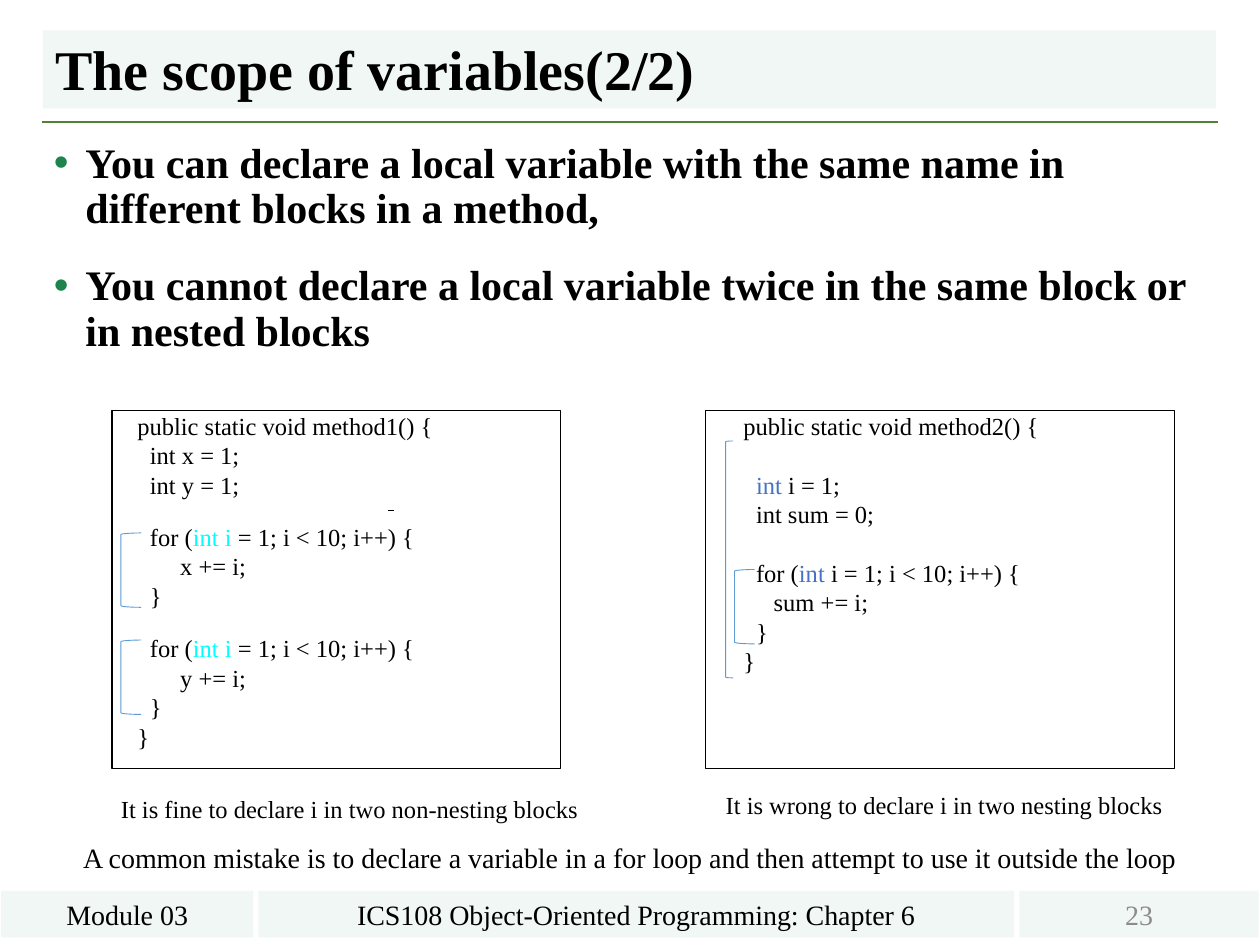
"""Build the slide on the scope of local variables."""
import pptx
import pptx.dml.color
import pptx.enum.shapes
import pptx.enum.text
import pptx.oxml.ns
import pptx.util
from lxml import etree

Inches, Pt = pptx.util.Inches, pptx.util.Pt
Rgb = pptx.dml.color.RGBColor.from_string
Kind = pptx.enum.shapes.MSO_SHAPE
Align = pptx.enum.text.PP_ALIGN
Anchor = pptx.enum.text.MSO_ANCHOR
qn = pptx.oxml.ns.qn

THEME = {
    "font": "Times New Roman",
    "ink": "000000", "paper": "FFFFFF", "band": "F1F7F4", "rule": "548235",
    "dot": "1A864B", "mute": "8C8C8C", "cyan": "00FFFF", "blue": "4472C4",
    "brace": "5B9BD5",
    "title": 32, "body": 24, "note": 16, "code": 14,
}

TITLE = "The scope of variables(2/2)"
POINTS = [
    "You can declare a local variable with the same name in different blocks in a method,",
    "You cannot declare a local variable twice in the same block or in nested blocks",
]
FOOT = [
    (0.01, 2, "Module 03", "ink"),
    (2.05, 6, "ICS108 Object-Oriented Programming: Chapter 6", "ink"),
    (8.09, 1.9, "23", "mute"),
]
NOTE = "A common mistake is to declare a variable in a for loop and then attempt to use it outside the loop"

# (indent, space before in points, runs)
CODE = [
    {"left": 0.89, "width": 3.56, "lines": [
        (0.2, 0, [("public static void method1() {", "ink")]),
        (0.3, 0, [("int x = 1;", "ink")]),
        (0.3, 0, [("int y = 1;", "ink")]),
        (0.3, 13.2, [("for (", "ink"), ("int i", "cyan"), (" = 1; i < 10; i++) {", "ink")]),
        (0.54, 0, [("x += i;", "ink")]),
        (0.3, 0, [("}", "ink")]),
        (0.3, 13.2, [("for (", "ink"), ("int i", "cyan"), (" = 1; i < 10; i++) {", "ink")]),
        (0.54, 0, [("y += i;", "ink")]),
        (0.3, 0, [("}", "ink")]),
        (0.2, 0, [("}", "ink")]),
    ]},
    {"left": 5.6, "width": 3.72, "lines": [
        (0.3, 0, [("public static void method2() {", "ink")]),
        (0.4, 16.8, [("int ", "blue"), ("i = 1;", "ink")]),
        (0.4, 0, [("int sum = 0;", "ink")]),
        (0.4, 16.8, [("for (", "ink"), ("int ", "blue"), ("i = 1; i < 10; i++) {", "ink")]),
        (0.54, 0, [("sum += i;", "ink")]),
        (0.4, 0, [("}", "ink")]),
        (0.3, 0, [("}", "ink")]),
    ]},
]
LABELS = [
    ((0.96, 6.3, 3.77, 0.26), "It is fine to declare i in two non-nesting blocks"),
    ((5.76, 6.27, 3.57, 0.29), "It is wrong to declare i in two nesting blocks"),
]
BRACES = [(5.76, 3.5, 0.06, 1.88), (5.83, 4.52, 0.16, 0.59),
          (0.96, 4.23, 0.16, 0.59), (0.96, 5.08, 0.16, 0.59)]
RULES = [(0.33, 9.67, 0.97, "rule", 1.5), (3.08, 3.13, 4.05, "ink", 0.75)]

deck = pptx.Presentation()
deck.slide_width, deck.slide_height = Inches(10), Inches(7.5)
slide = deck.slides.add_slide(deck.slide_layouts[6])


def apply(item, style):
    """Set each format value on the item."""
    for name, value in style.items():
        setattr(item, name, value)


def draw(box, fill=None, line=None, width=0.75, kind=Kind.RECTANGLE):
    """Add a flat shape with theme colours."""
    shape = slide.shapes.add_shape(kind, *map(Inches, box))
    shape.shadow.inherit = False
    if fill:
        shape.fill.solid()
        shape.fill.fore_color.rgb = Rgb(THEME[fill])
    else:
        shape.fill.background()
    if line:
        shape.line.color.rgb = Rgb(THEME[line])
        shape.line.width = Pt(width)
    else:
        shape.line.fill.background()
    return shape


def write(shape, rows, size, bold=False, inset=None, anchor=Anchor.TOP, **style):
    """Fill a shape with rows of (indent, space before, runs)."""
    frame = shape.text_frame
    apply(frame, {"word_wrap": True, "vertical_anchor": anchor})
    if inset is not None:
        apply(frame, {f"margin_{side}": Inches(inset)
                      for side in ("left", "top", "right", "bottom")})
    for pos, (indent, gap, runs) in enumerate(rows):
        para = frame.add_paragraph() if pos else frame.paragraphs[0]
        apply(para, {"alignment": Align.LEFT, "space_before": Pt(gap), **style})
        if indent:
            para._p.get_or_add_pPr().set("marL", str(Inches(indent)))
        for text, tint in runs:
            run = para.add_run()
            run.text = text
            apply(run.font, {"name": THEME["font"], "size": Pt(THEME[size]), "bold": bold})
            run.font.color.rgb = Rgb(THEME[tint])
    return frame


def plain(text, tint="ink"):
    """Give one unindented row."""
    return [(0, 0, [(text, tint)])]


def rule(start, end, top, tint, width):
    """Add a level line."""
    line = slide.shapes.add_connector(pptx.enum.shapes.MSO_CONNECTOR.STRAIGHT,
                                      *map(Inches, (start, top, end, top)))
    line.line.color.rgb = Rgb(THEME[tint])
    line.line.width = Pt(width)
    etree.SubElement(line._element.spPr, qn("a:effectLst"))


def bullet(para):
    """Hang a coloured dot before the paragraph."""
    props = para._p.get_or_add_pPr()
    props.set("indent", str(Inches(-0.25)))
    tint = etree.SubElement(props, qn("a:buClr"))
    etree.SubElement(tint, qn("a:srgbClr"), val=THEME["dot"])
    etree.SubElement(props, qn("a:buFont"), typeface="Arial")
    etree.SubElement(props, qn("a:buChar"), char="•")


for left, width, text, tint in FOOT:
    write(draw((left, 7.07, width, 0.37), "band"), plain(text, tint), "note",
          anchor=Anchor.MIDDLE, alignment=Align.CENTER)

write(draw((0.34, 0.24, 9.31, 0.62), "band"), plain(TITLE), "title", bold=True,
      anchor=Anchor.BOTTOM, line_spacing=0.9)

body = slide.shapes.add_textbox(*map(Inches, (0.33, 1.08, 9.34, 2.07)))
rows = [(0.25, 18, [(text, "ink")]) for text in POINTS]
for para in write(body, rows, "body", bold=True, line_spacing=0.9).paragraphs:
    bullet(para)

for block in CODE:
    panel = draw((block["left"], 3.26, block["width"], 2.84), "paper", "ink")
    write(panel, block["lines"], "code", inset=0)
for box, text in LABELS:
    write(draw(box, "paper", "paper"), plain(text), "code", inset=0)
for box in BRACES:
    draw(box, line="brace", width=0.5, kind=Kind.LEFT_BRACKET)
for item in RULES:
    rule(*item)

note = slide.shapes.add_textbox(*map(Inches, (0.17, 6.62, 9.66, 0.37)))
write(note, plain(NOTE), "note", alignment=Align.CENTER)

deck.save("out.pptx")
